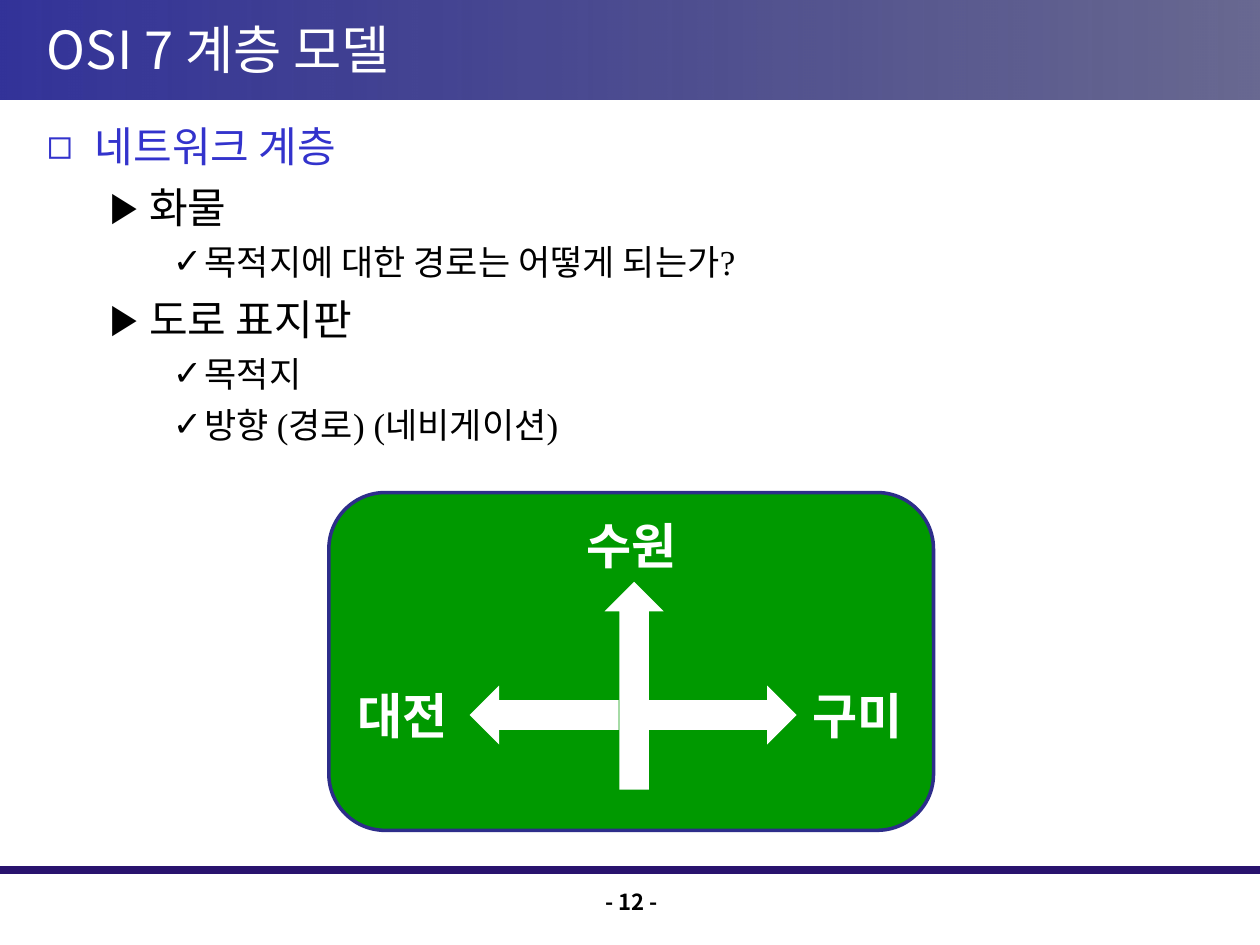
"""Build the network layer slide with its road sign diagram."""
import pptx
import pptx.util
import pptx.dml.color
import pptx.enum.shapes
import pptx.enum.text
import pptx.oxml.ns
import lxml.etree

Cm, Pt = pptx.util.Cm, pptx.util.Pt
RGBColor = pptx.dml.color.RGBColor
MSO_SHAPE = pptx.enum.shapes.MSO_SHAPE
qn = pptx.oxml.ns.qn

WHITE = RGBColor(0xFF, 0xFF, 0xFF)
BLACK = RGBColor(0, 0, 0)
BLUE = RGBColor(0x33, 0x33, 0xCC)
BAND_START = RGBColor(0x33, 0x33, 0x99)
BAND_END = RGBColor(0x1F, 0x1F, 0x5C)
RULE = RGBColor(0x29, 0x13, 0x6E)
GREEN = RGBColor(0, 0x99, 0)
SIGN_EDGE = RGBColor(0x2D, 0x2D, 0x8A)
SANS, SERIF = "Noto Sans CJK KR", "Times New Roman"


def write(p, text, color, **fmt):
    r = p.add_run()
    r.text = text
    for key, value in fmt.items():
        setattr(r.font, key, value)
    r.font.color.rgb = color
    ea = lxml.etree.SubElement(r.font._element, qn("a:ea"))
    ea.set("typeface", SANS)


def add_filled(shapes, kind, box, color):
    sp = shapes.add_shape(kind, *map(Cm, box))
    sp.shadow.inherit = False
    sp.fill.solid()
    sp.fill.fore_color.rgb = color
    sp.line.fill.background()
    return sp


prs = pptx.Presentation()
prs.slide_width, prs.slide_height = Cm(25.4), Cm(19.05)
s = prs.slides.add_slide(prs.slide_layouts[1])
title, body = s.placeholders

band = add_filled(s.shapes, MSO_SHAPE.RECTANGLE, (0, 0, 25.4, 2), BAND_START)
band.fill.gradient()
band.fill.gradient_angle = 0
for stop, color in zip(band.fill.gradient_stops, (BAND_START, BAND_END)):
    stop.color.rgb = color
end_color = band._element.xpath(".//a:gs/a:srgbClr")[-1]
lxml.etree.SubElement(end_color, qn("a:alpha")).set("val", "67000")
s.shapes._spTree.insert(2, band._element)

rule = s.shapes.add_connector(
    pptx.enum.shapes.MSO_CONNECTOR.STRAIGHT, 0, Cm(17.53), Cm(25.4), Cm(17.53))
rule.line.color.rgb = RULE
rule.line.width = Pt(4.5)
lxml.etree.SubElement(rule._element.spPr, qn("a:effectLst"))
s.shapes._spTree.insert(3, rule._element)

for sp, box, anchor in (
    (title, (0.69, 0.08, 24, 1.8), pptx.enum.text.MSO_ANCHOR.MIDDLE),
    (body, (0.69, 2.31, 24, 15), pptx.enum.text.MSO_ANCHOR.TOP),
):
    sp.left, sp.top, sp.width, sp.height = map(Cm, box)
    sp.text_frame.auto_size = pptx.enum.text.MSO_AUTO_SIZE.NONE
    sp.text_frame.vertical_anchor = anchor

p = title.text_frame.paragraphs[0]
p.alignment = pptx.enum.text.PP_ALIGN.LEFT
write(p, "OSI 7 계층 모델", WHITE, name=SANS, size=Pt(30))

LEVELS = [
    dict(bullet="◻", color=BLUE, size=24, left=0.97, hang=0.97, before=0),
    dict(bullet="▶", color=BLACK, size=24, left=2.06, hang=0.79, before=6),
    dict(bullet="✓", color=BLACK, size=20, left=3.18, hang=0.64, before=5),
]
items = [
    (0, "네트워크 계층"),
    (1, "화물"),
    (2, "목적지에 대한 경로는 어떻게 되는가?"),
    (1, "도로 표지판"),
    (2, "목적지"),
    (2, "방향 (경로) (네비게이션)"),
]
tf = body.text_frame
for i, (level, text) in enumerate(items):
    p = tf.add_paragraph() if i else tf.paragraphs[0]
    style = LEVELS[level]
    p.level = level
    pPr = p._p.get_or_add_pPr()
    pPr.set("marL", str(Cm(style["left"])))
    pPr.set("indent", str(-Cm(style["hang"])))
    buClr = lxml.etree.SubElement(pPr, qn("a:buClr"))
    lxml.etree.SubElement(buClr, qn("a:srgbClr")).set("val", str(style["color"]))
    lxml.etree.SubElement(pPr, qn("a:buChar")).set("char", style["bullet"])
    p.space_before = Pt(style["before"])
    write(p, text, style["color"], name=SERIF, size=Pt(style["size"]))

number = s.shapes.add_textbox(Cm(9.78), Cm(17.88), Cm(5.92), Cm(0.91))
number.text_frame.word_wrap = True
p = number.text_frame.paragraphs[0]
p.alignment = pptx.enum.text.PP_ALIGN.CENTER
p.line_spacing = 0.8
write(p, "- 12 -", BLACK, name=SANS, size=Pt(12.6), bold=True)

sign = s.shapes.add_group_shape()
board = add_filled(sign.shapes, MSO_SHAPE.ROUNDED_RECTANGLE,
                   (6.63, 9.93, 12.19, 6.81), GREEN)
board.line.color.rgb = SIGN_EDGE
board.line.width = Pt(2)

for kind, box in (
    (MSO_SHAPE.LEFT_ARROW, (9.47, 13.82, 3, 1.19)),
    (MSO_SHAPE.RIGHT_ARROW, (13.06, 13.82, 3, 1.19)),
    (MSO_SHAPE.UP_ARROW, (12.19, 11.73, 1.19, 4.19)),
):
    add_filled(sign.shapes, kind, box, WHITE)

for text, left, top in (("구미", 16.13, 13.69), ("대전", 6.96, 13.69), ("수원", 11.58, 10.26)):
    label = sign.shapes.add_textbox(Cm(left), Cm(top), Cm(2.41), Cm(1.45))
    label.text_frame.word_wrap = False
    write(label.text_frame.paragraphs[0], text, WHITE, name=SANS, size=Pt(28), bold=True)

prs.save("out.pptx")
